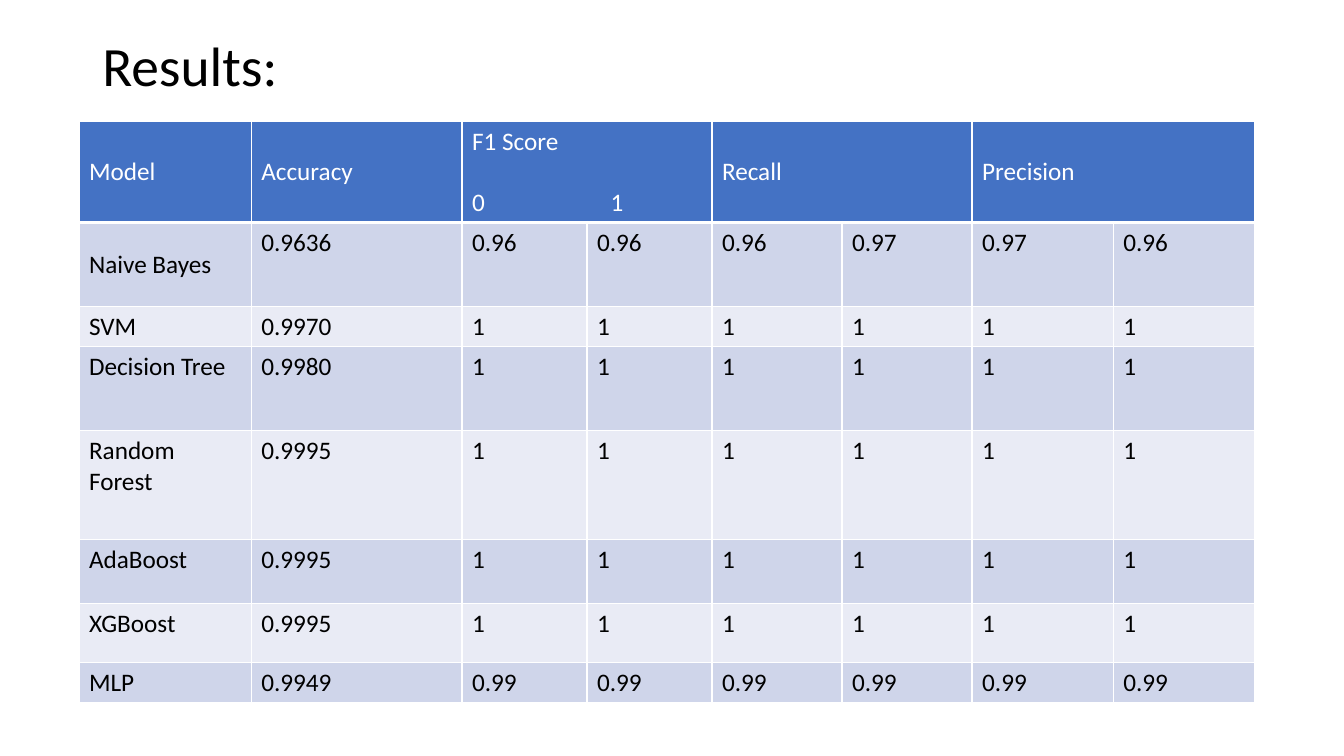
from lxml.etree import SubElement
from pptx import Presentation
from pptx.dml.color import RGBColor
from pptx.enum.text import MSO_ANCHOR as Anchor
from pptx.oxml.ns import qn
from pptx.util import Pt

WHITE, BLACK, BLUE = "FFFFFF", "000000", "4472C4"
BANDS = ["CFD5EA", "E9EBF5"]
COLUMN_WIDTHS = [123.1, 150.5, 89.3, 89.3, 92.9, 92.9, 100.8, 100.8]
ROW_HEIGHTS = [45.4, 59.8, 23.8, 59.8, 77.8, 46.1, 41.8, 23.8]
HEADERS = {0: ["Model"], 1: ["Accuracy"], 2: ["F1 Score", "0\t1"],
           4: ["Recall"], 6: ["Precision"]}
PERFECT = ["1"] * 6
RESULTS = [
    ["Naive Bayes", "0.9636", "0.96", "0.96", "0.96", "0.97", "0.97", "0.96"],
    ["SVM", "0.9970", *PERFECT],
    ["Decision Tree", "0.9980", *PERFECT],
    ["Random Forest", "0.9995", *PERFECT],
    ["AdaBoost", "0.9995", *PERFECT],
    ["XGBoost", "0.9995", *PERFECT],
    ["MLP", "0.9949", *["0.99"] * 6],
]


def color(value):
    return RGBColor.from_string(value)


def write(paragraph, text, size, text_color):
    run = paragraph.add_run()
    run.text = text
    font_format = {"name": "Calibri", "size": Pt(size), "bold": False}
    for name, value in font_format.items():
        setattr(run.font, name, value)
    run.font.color.rgb = color(text_color)


def add_title(slide, left, top, width, height):
    shape = slide.shapes.add_textbox(Pt(left), Pt(top), Pt(width), Pt(height))
    frame = shape.text_frame
    for name, value in {"word_wrap": True, "vertical_anchor": Anchor.MIDDLE}.items():
        setattr(frame, name, value)
    paragraph = frame.paragraphs[0]
    paragraph.line_spacing = 0.9
    write(paragraph, "Results:", 39.6, BLACK)


def style_cell(cell, fill, bottom_width=1):
    properties = cell._tc.get_or_add_tcPr()
    for side, width in {"L": 1, "R": 1, "T": 1, "B": bottom_width}.items():
        line = SubElement(properties, qn(f"a:ln{side}"), w=str(Pt(width)))
        solid = SubElement(line, qn("a:solidFill"))
        SubElement(solid, qn("a:srgbClr"), val=WHITE)
    cell.fill.solid()
    cell.fill.fore_color.rgb = color(fill)


def fill_header(table):
    for column in range(len(COLUMN_WIDTHS)):
        style_cell(table.cell(0, column), BLUE, 3)
    for column, lines in HEADERS.items():
        cell = table.cell(0, column)
        if column >= 2:
            cell.merge(table.cell(0, column + 1))
        cell.vertical_anchor = Anchor.MIDDLE
        write(cell.text_frame.paragraphs[0], lines[0], 18, WHITE)
        for line in lines[1:]:
            paragraph = cell.text_frame.add_paragraph()
            paragraph.space_before = Pt(22)
            tabs = SubElement(paragraph._p.get_or_add_pPr(), qn("a:tabLst"))
            SubElement(tabs, qn("a:tab"), pos=str(Pt(99)), algn="l")
            write(paragraph, line, 18, WHITE)


def add_results(slide, left, top, width, height):
    shape = slide.shapes.add_table(len(ROW_HEIGHTS), len(COLUMN_WIDTHS),
                                   Pt(left), Pt(top), Pt(width), Pt(height))
    table = shape.table
    for name in ("first_row", "horz_banding"):
        setattr(table, name, False)
    for column, column_width in zip(table.columns, COLUMN_WIDTHS):
        column.width = Pt(column_width)
    for row, row_height in zip(table.rows, ROW_HEIGHTS):
        row.height = Pt(row_height)
    fill_header(table)
    for row, values in enumerate(RESULTS, 1):
        for column, value in enumerate(values):
            cell = table.cell(row, column)
            style_cell(cell, BANDS[(row - 1) % 2])
            write(cell.text_frame.paragraphs[0], value, 18, BLACK)
    table.cell(1, 0).vertical_anchor = Anchor.MIDDLE


def main():
    presentation = Presentation()
    for name, value in {"slide_width": Pt(960), "slide_height": Pt(540)}.items():
        setattr(presentation, name, value)
    slide = presentation.slides.add_slide(presentation.slide_layouts[6])
    add_title(slide, 66, 29, 828, 40)
    add_results(slide, 56.4, 86.6, sum(COLUMN_WIDTHS), sum(ROW_HEIGHTS))
    presentation.save("out.pptx")


if __name__ == "__main__":
    main()
